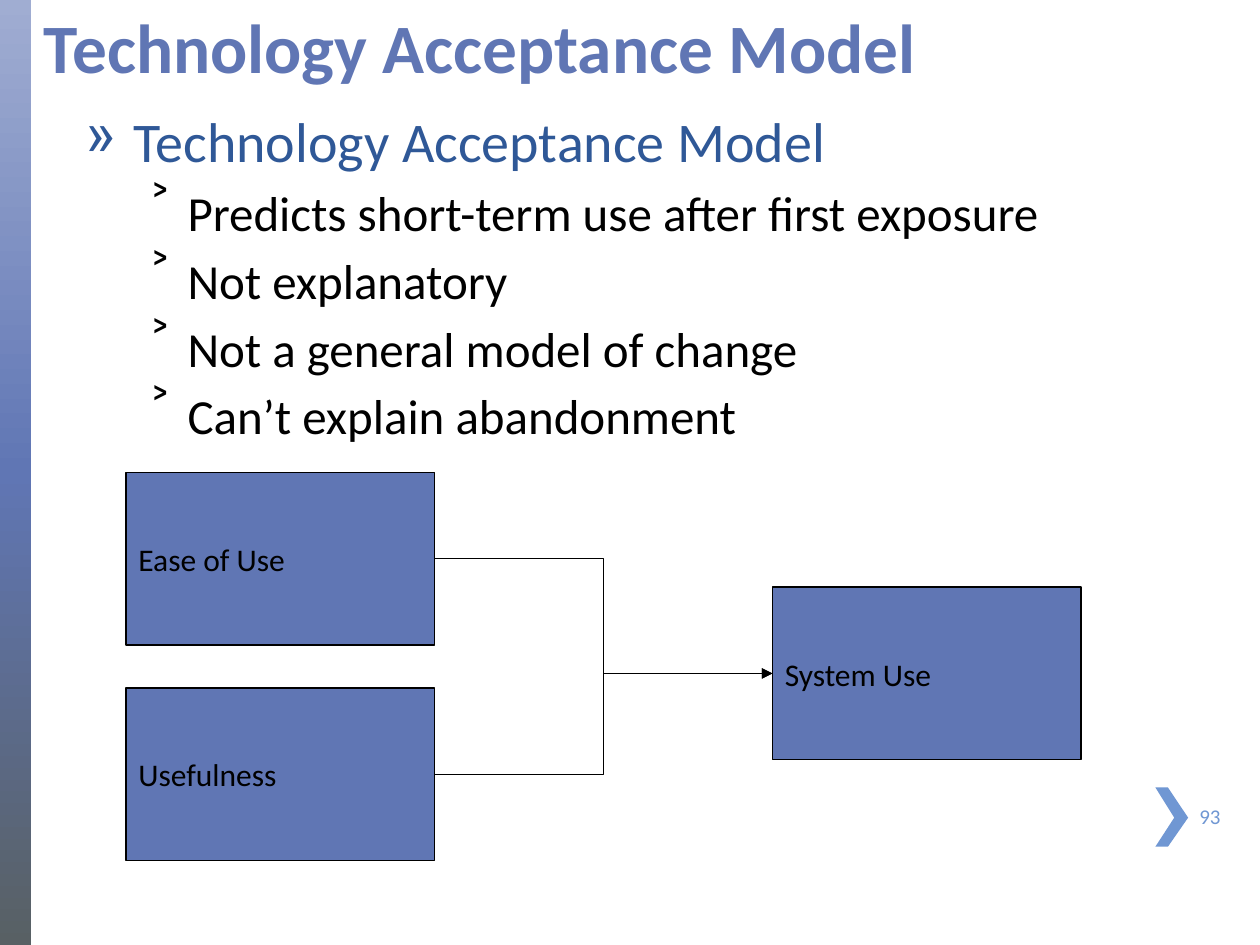
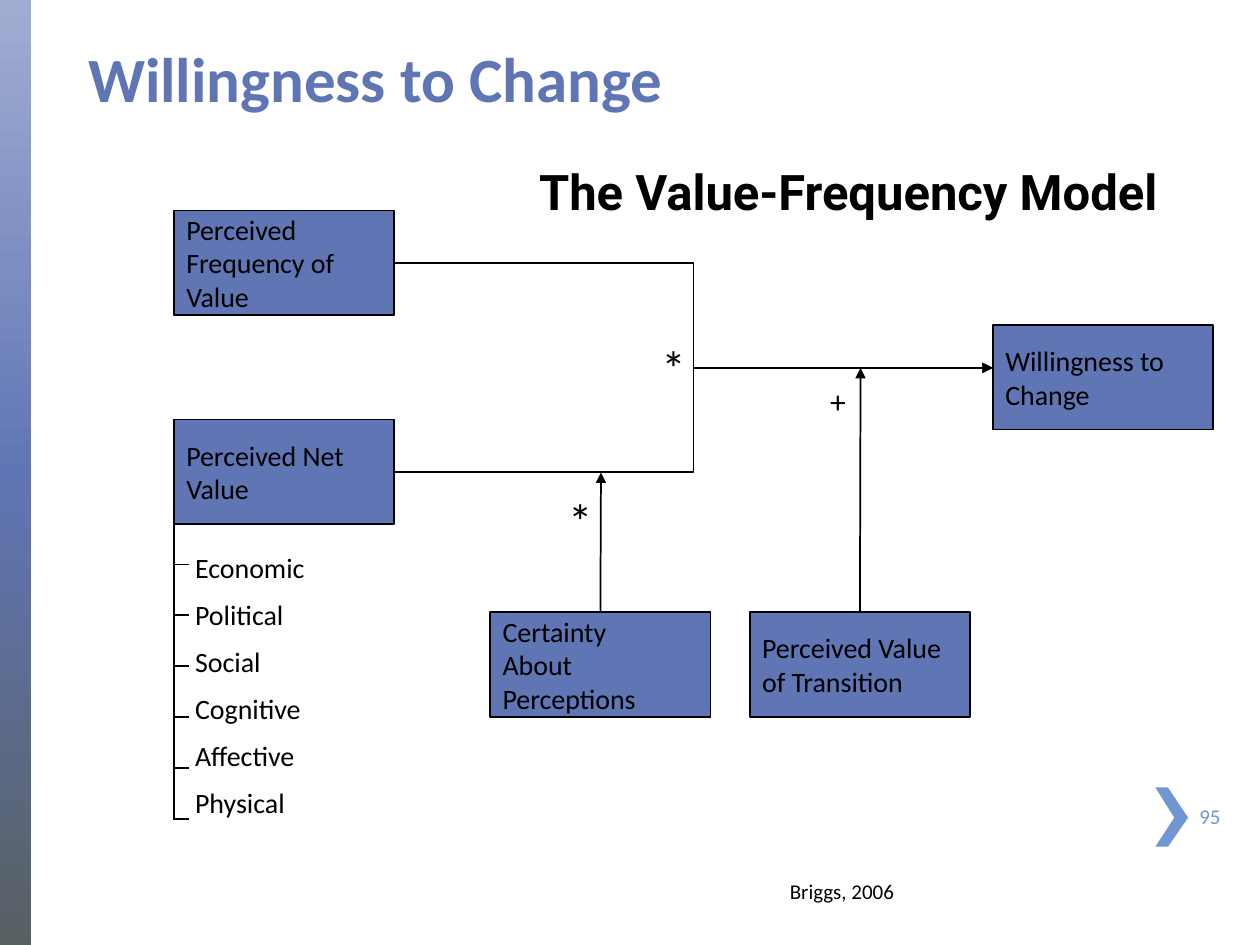
from lxml.etree import SubElement
from pptx import Presentation
from pptx.dml.color import RGBColor
from pptx.enum.shapes import MSO_CONNECTOR, MSO_SHAPE
from pptx.enum.text import MSO_ANCHOR
from pptx.oxml.ns import qn
from pptx.util import Inches, Pt


class Theme:
    font, heading_font = "Calibri", "Roboto"
    blue, navy, sky, black = "6076B4", "2F5897", "7097D3", "000000"
    band = [(0, "A0ADD2"), (50, "6076B4"), (100, "586064")]
    number = dict(size=12, color=sky)
    small = dict(size=12)
    factor = dict(size=16)
    plus = dict(size=18)
    star = dict(size=28)
    heading = dict(size=28, bold=True, name=heading_font)


# Content: places are left, top, width, height in inches
ACCEPTANCE = dict(
    title="Technology Acceptance Model", title_at=(0.25, 0.04, 9.15, 0.7),
    title_size=39.6, number="93", box_size=(2.45, 1.37), box_text=18, line=0.75,
    boxes={
        "Ease of Use": (1, 3.75),
        "Usefulness": (1, 5.46),
        "System Use": (6.13, 4.66),
    },
)
BULLETS = [
    (0, "Technology Acceptance Model"),
    (1, "Predicts short-term use after first exposure"),
    (1, "Not explanatory"),
    (1, "Not a general model of change"),
    (1, "Can’t explain abandonment"),
]
LEVELS = [  # bullet, left margin, hanging indent, text format
    ("»", 0.38, 0.38, dict(size=32, color=Theme.navy)),
    ("˃", 0.81, 0.31, dict(size=28)),
]

WILLINGNESS = dict(
    title="Willingness to Change", title_at=(0.6, 0.09, 8.32, 0.87),
    title_size=36, number="95", box_size=(1.75, 0.83), box_text=16, line=1,
    boxes={
        "Willingness to Change": (7.88, 2.58),
        "Perceived Frequency of Value": (1.38, 1.67),
        "Perceived Net Value": (1.38, 3.33),
        "Certainty\nAbout\nPerceptions": (3.89, 4.86),
        "Perceived Value of Transition": (5.95, 4.86),
    },
)
VALUE_KINDS = ["Economic", "Political", "Social", "Cognitive", "Affective", "Physical"]
LABELS = [
    ("*", (5.15, 2.63, 0.35, 0.57), Theme.star),
    ("*", (4.41, 3.84, 0.35, 0.57), Theme.star),
    ("+", (6.49, 2.98, 0.36, 0.43), Theme.plus),
    ("The Value-Frequency Model", (4.18, 1.23, 5.3, 0.57), Theme.heading),
    ("Briggs, 2006", (6.17, 6.92, 2.25, 0.3), Theme.small),
]


def inches(values):
    return [Inches(v) for v in values]


def rgb(color):
    return RGBColor.from_string(color)


def write(p, text, color=Theme.black, size=18, **fmt):
    r = p.add_run()
    r.text = text
    values = dict(name=Theme.font, size=Pt(size)) | fmt
    for key, value in values.items():
        setattr(r.font, key, value)
    r.font.color.rgb = rgb(color)


def fill_text(s, lines, anchor=MSO_ANCHOR.TOP, gap=0, **fmt):
    tf = s.text_frame
    tf.word_wrap, tf.vertical_anchor = True, anchor
    for i, line in enumerate(lines):
        p = tf.add_paragraph() if i else tf.paragraphs[0]
        p.alignment = 1
        if i and gap:
            p.space_before = Pt(gap)
        write(p, line, **fmt)


def add_text(slide, at, lines, **fmt):
    s = slide.shapes.add_textbox(*inches(at))
    fill_text(s, lines, **fmt)
    return s


def add_bullets(slide, at, items):
    tf = slide.shapes.add_textbox(*inches(at)).text_frame
    tf.word_wrap = True
    for i, (level, text) in enumerate(items):
        char, margin, hang, fmt = LEVELS[level]
        p = tf.add_paragraph() if i else tf.paragraphs[0]
        p.level = level
        if i:
            p.space_before = Pt(5)
        pPr = p._p.get_or_add_pPr()
        pPr.set("marL", str(Inches(margin)))
        pPr.set("indent", str(-Inches(hang)))
        SubElement(pPr, qn("a:buChar")).set("char", char)
        write(p, text, **fmt)


def add_line(slide, start, end, width, kind=MSO_CONNECTOR.STRAIGHT, arrow=False):
    c = slide.shapes.add_connector(kind, *inches(start + end))
    c.line.color.rgb, c.line.width = rgb(Theme.black), Pt(width)
    if arrow:
        SubElement(c.line._get_or_add_ln(), qn("a:tailEnd")).set("type", "triangle")
    SubElement(c._element.spPr, qn("a:effectLst"))
    return c


def add_arrow_from(slide, box, side, end, width, kind=MSO_CONNECTOR.STRAIGHT):
    if side == 0:
        start = (box.left + box.width // 2, box.top)
    else:
        start = (box.left + box.width, box.top + box.height // 2)
    c = add_line(slide, tuple(v.inches if hasattr(v, "inches") else v / Inches(1)
                              for v in start), end, width, kind, True)
    c.begin_connect(box, side)
    return c


def add_band(slide):
    s = slide.shapes.add_shape(MSO_SHAPE.RECTANGLE, *inches((0, 0, 0.25, 7.5)))
    s.shadow.inherit = False
    s.line.fill.background()
    s.fill.gradient()
    s.fill.gradient_angle = 270
    stops = s._element.spPr.find(qn("a:gradFill")).find(qn("a:gsLst"))
    for old in list(stops):
        stops.remove(old)
    for pos, color in Theme.band:
        gs = SubElement(stops, qn("a:gs"), pos=str(pos * 1000))
        SubElement(gs, qn("a:srgbClr"), val=color)


def add_page_mark(slide, number):
    points = [(9.17, 6.25), (9.32, 6.49), (9.17, 6.72),
              (9.27, 6.72), (9.43, 6.49), (9.27, 6.25)]
    fb = slide.shapes.build_freeform(*inches(points[0]), scale=1.0)
    fb.add_line_segments([inches(pt) for pt in points[1:]], close=True)
    s = fb.convert_to_shape()
    s.shadow.inherit = False
    s.fill.solid()
    s.fill.fore_color.rgb = rgb(Theme.sky)
    s.line.fill.background()
    add_text(slide, (9.42, 6.28, 0.5, 0.4), [number],
             anchor=MSO_ANCHOR.MIDDLE, **Theme.number)


def add_boxes(slide, page):
    boxes = []
    for text, corner in page["boxes"].items():
        s = slide.shapes.add_shape(MSO_SHAPE.RECTANGLE, *inches(corner + page["box_size"]))
        s.shadow.inherit = False
        s.fill.solid()
        s.fill.fore_color.rgb = rgb(Theme.blue)
        s.line.color.rgb, s.line.width = rgb(Theme.black), Pt(page["line"])
        fill_text(s, text.split("\n"), anchor=MSO_ANCHOR.MIDDLE, size=page["box_text"])
        boxes.append(s)
    return boxes


def start_slide(prs, page):
    slide = prs.slides.add_slide(prs.slide_layouts[6])
    add_band(slide)
    add_page_mark(slide, page["number"])
    add_text(slide, page["title_at"], [page["title"]], anchor=MSO_ANCHOR.BOTTOM,
             size=page["title_size"], color=Theme.blue, bold=True)
    return slide, add_boxes(slide, page)


def build_acceptance(prs):
    slide, (ease, usefulness, system) = start_slide(prs, ACCEPTANCE)
    add_bullets(slide, (0.58, 0.8, 8.75, 2.83), BULLETS)
    for box in (ease, usefulness):
        c = add_arrow_from(slide, box, 3, (6.13, 5.35), ACCEPTANCE["line"],
                           MSO_CONNECTOR.ELBOW)
        c.end_connect(system, 1)


def build_willingness(prs):
    slide, boxes = start_slide(prs, WILLINGNESS)
    _, frequency, net_value, certainty, transition = boxes
    width = WILLINGNESS["line"]

    # Causes join on the way to willingness; modifiers point at the paths
    for box in (frequency, net_value):
        add_arrow_from(slide, box, 3, (7.88, 2.92), width, MSO_CONNECTOR.ELBOW)
    add_arrow_from(slide, certainty, 0, (4.77, 3.75), width)
    add_arrow_from(slide, transition, 0, (6.83, 2.92), width)

    # Kinds of value hang from a spine with even ticks
    add_line(slide, (1.38, 4.04), (1.38, 6.51), width)
    first, last = 4.48, 6.5
    step = (last - first) / (len(VALUE_KINDS) - 1)
    for i in range(len(VALUE_KINDS)):
        y = first + i * step
        add_line(slide, (1.39, y), (1.5, y), width)
    add_text(slide, (1.45, 4.32, 1.52, 2.37), VALUE_KINDS, gap=7.7, **Theme.factor)

    for text, at, fmt in LABELS:
        add_text(slide, at, [text], **fmt)


def main():
    prs = Presentation()
    prs.slide_width, prs.slide_height = inches((10, 7.5))
    build_acceptance(prs)
    build_willingness(prs)
    prs.save("out.pptx")


if __name__ == "__main__":
    main()
